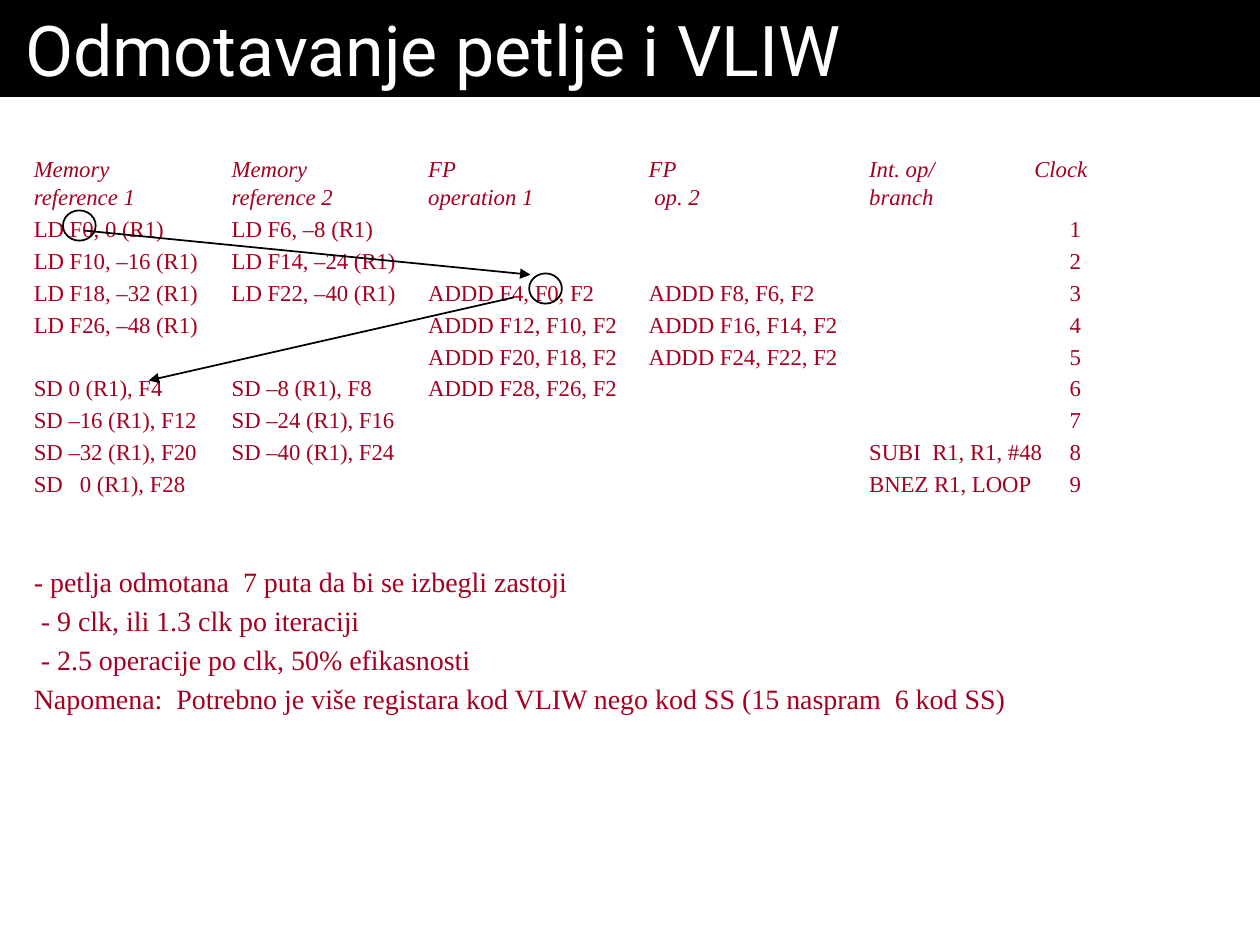
from lxml import etree
from pptx import Presentation
from pptx.dml.color import RGBColor
from pptx.enum.shapes import MSO_CONNECTOR, MSO_SHAPE
from pptx.enum.text import MSO_ANCHOR, PP_ALIGN
from pptx.oxml.ns import qn
from pptx.util import Inches, Pt

LINE = MSO_CONNECTOR.STRAIGHT
RECT, OVAL = MSO_SHAPE.RECTANGLE, MSO_SHAPE.OVAL
LEFT, MID, TOP = PP_ALIGN.LEFT, MSO_ANCHOR.MIDDLE, MSO_ANCHOR.TOP

WIDE, HIGH = 10, 7.5
HUES = {"ink": "000000", "paper": "FFFFFF", "red": "A50021"}
SERIF, SANS = "Times New Roman", "Roboto"

COLS = [1.57, 3.13, 4.88, 6.63]   # tab stops after the first column
HEAD_END, ROW_END = 7.94, 8.22    # last stop: "Clock", then its numbers

HEAD = [
    ["Memory ", "Memory", "FP", "FP", "Int. op/", "Clock"],
    ["reference 1", "reference 2", "operation 1", " op. 2 ", "branch"],
]
OPS = [
    ["LD F0, 0 (R1)", "LD F6, –8 (R1)", "", "", ""],
    ["LD F10, –16 (R1)", "LD F14, –24 (R1)", "", "", ""],
    ["LD F18, –32 (R1)", "LD F22, –40 (R1)", "ADDD F4, F0, F2",
     "ADDD F8, F6, F2", ""],
    ["LD F26, –48 (R1)", "", "ADDD F12, F10, F2", "ADDD F16, F14, F2", ""],
    ["", "", "ADDD F20, F18, F2", "ADDD F24, F22, F2", ""],
    ["SD 0 (R1), F4", "SD –8 (R1), F8", "ADDD F28, F26, F2", "", ""],
    ["SD –16 (R1), F12", "SD –24 (R1), F16", "", "", ""],
    ["SD –32 (R1), F20", "SD –40 (R1), F24", "", "", "SUBI  R1, R1, #48"],
    ["SD   0 (R1), F28", "", "", "", "BNEZ R1, LOOP"],
]
NOTES = [
    "- petlja odmotana  7 puta da bi se izbegli zastoji",
    " - 9 clk, ili 1.3 clk po iteraciji",
    " - 2.5 operacije po clk, 50% efikasnosti",
    "Napomena:  Potrebno je više registara kod VLIW nego kod SS "
    "(15 naspram  6 kod SS)",
]


def hue(name):
    """Return the named colour."""
    return RGBColor.from_string(HUES[name])


def write(para, text, size, font, tint, slant=False):
    """Add one run to a paragraph."""
    run = para.add_run()
    run.text = text
    run.font.size, run.font.name = Pt(size), font
    run.font.italic = slant
    run.font.color.rgb = hue(tint)


def space(para, line, gap):
    """Set line height and the gap above, in points."""
    para.line_spacing, para.space_before = Pt(line), Pt(gap)


def tabs(para, stops):
    """Give a paragraph left tab stops, in inches."""
    tray = etree.SubElement(para._p.get_or_add_pPr(), qn("a:tabLst"))
    for stop in stops:
        etree.SubElement(tray, qn("a:tab"), pos=str(Inches(stop)), algn="l")


def title(slide, box, text):
    """Draw the title band."""
    band = slide.shapes.add_shape(RECT, *map(Inches, box))
    band.shadow.inherit = False
    band.fill.solid()
    band.fill.fore_color.rgb = hue("ink")
    band.line.fill.background()
    frame = band.text_frame
    frame.word_wrap, frame.vertical_anchor = True, MID
    frame.margin_left = frame.margin_right = Inches(0.2)
    para = frame.paragraphs[0]
    para.alignment = LEFT
    write(para, text, 40, SANS, "paper")


def body(slide, box):
    """Write the schedule and, below it, the notes."""
    frame = slide.shapes.add_textbox(*map(Inches, box)).text_frame
    frame.word_wrap, frame.vertical_anchor = True, TOP
    para = frame.paragraphs[0]
    space(para, 16, 0)
    tabs(para, COLS + [HEAD_END])
    for i, cells in enumerate(HEAD):
        if i:
            para.add_line_break()
        write(para, "\t".join(cells), 13, SERIF, "red", True)
    for clock, cells in enumerate(OPS, 1):
        para = frame.add_paragraph()
        space(para, 16, 2.3)
        tabs(para, COLS + [ROW_END])
        write(para, "\t".join(cells + [str(clock)]), 13, SERIF, "red")
    for i, text in enumerate(NOTES):
        para = frame.add_paragraph()
        space(para, 19.2, 3.1 if i else 38.5)
        write(para, text, 16, SERIF, "red")


def ring(slide, left, top):
    """Circle one register."""
    oval = slide.shapes.add_shape(OVAL, *map(Inches, (left, top, 0.26, 0.24)))
    oval.shadow.inherit = False
    oval.fill.background()
    oval.line.color.rgb, oval.line.width = hue("ink"), Pt(1)


def arrow(slide, start, end):
    """Draw an arrow between two points."""
    link = slide.shapes.add_connector(LINE, *map(Inches, start + end))
    link.line.color.rgb, link.line.width = hue("ink"), Pt(1)
    etree.SubElement(link.line._get_or_add_ln(), qn("a:tailEnd"),
                     type="triangle")
    etree.SubElement(link._element.spPr, qn("a:effectLst"))


def flow(slide, box):
    """Mark how data moves, relative to the body box."""
    left, top = box[:2]

    def at(x, y):
        """Shift a point into the box."""
        return left + x, top + y

    for spot in ((0.33, 0.5), (4.03, 1)):
        ring(slide, *at(*spot))
    arrow(slide, at(0.5, 0.66), at(4.04, 1.01))
    arrow(slide, at(3.91, 1.19), at(1.01, 1.85))


def main():
    """Build and save the slide."""
    deck = Presentation()
    deck.slide_width, deck.slide_height = Inches(WIDE), Inches(HIGH)
    slide = deck.slides.add_slide(deck.slide_layouts[6])
    box = (0.17, 1.17, 9.22, 5.68)
    body(slide, box)
    flow(slide, box)
    title(slide, (0, 0, WIDE, 0.77), "Odmotavanje petlje i VLIW")
    deck.save("out.pptx")


main()
